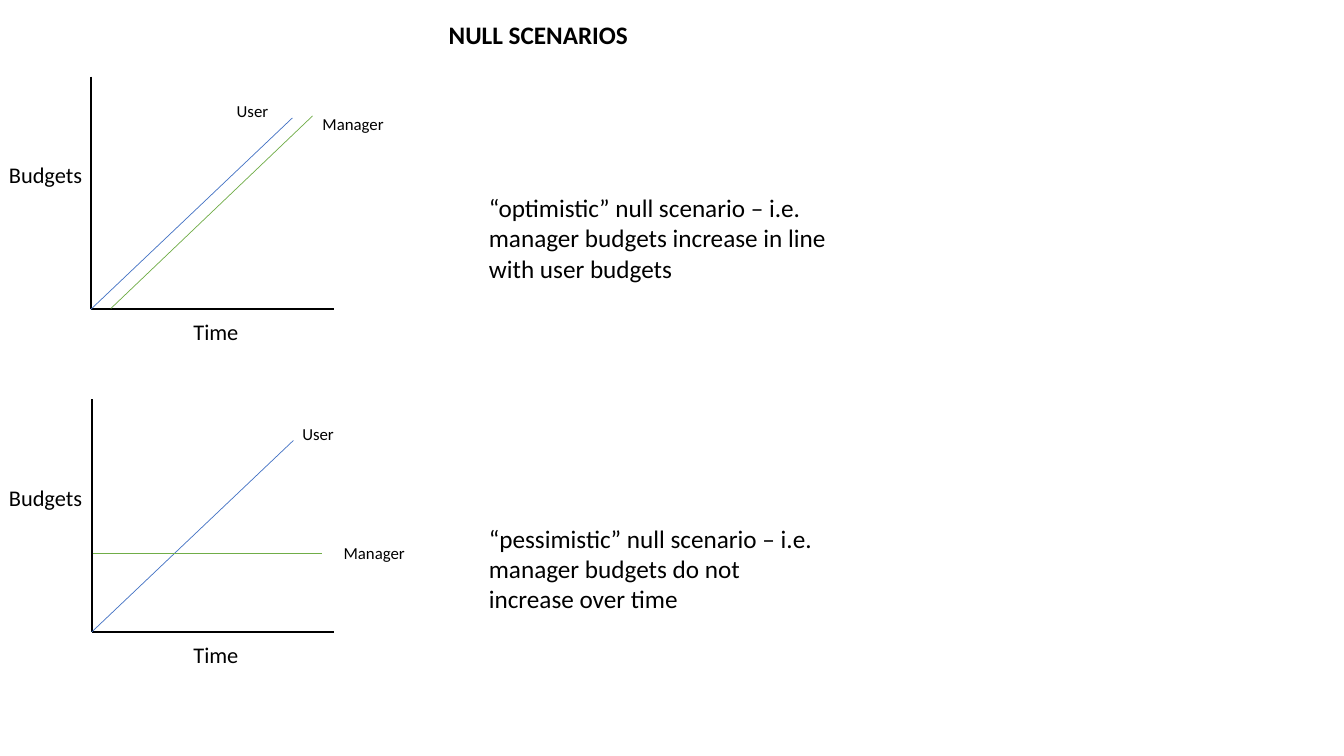
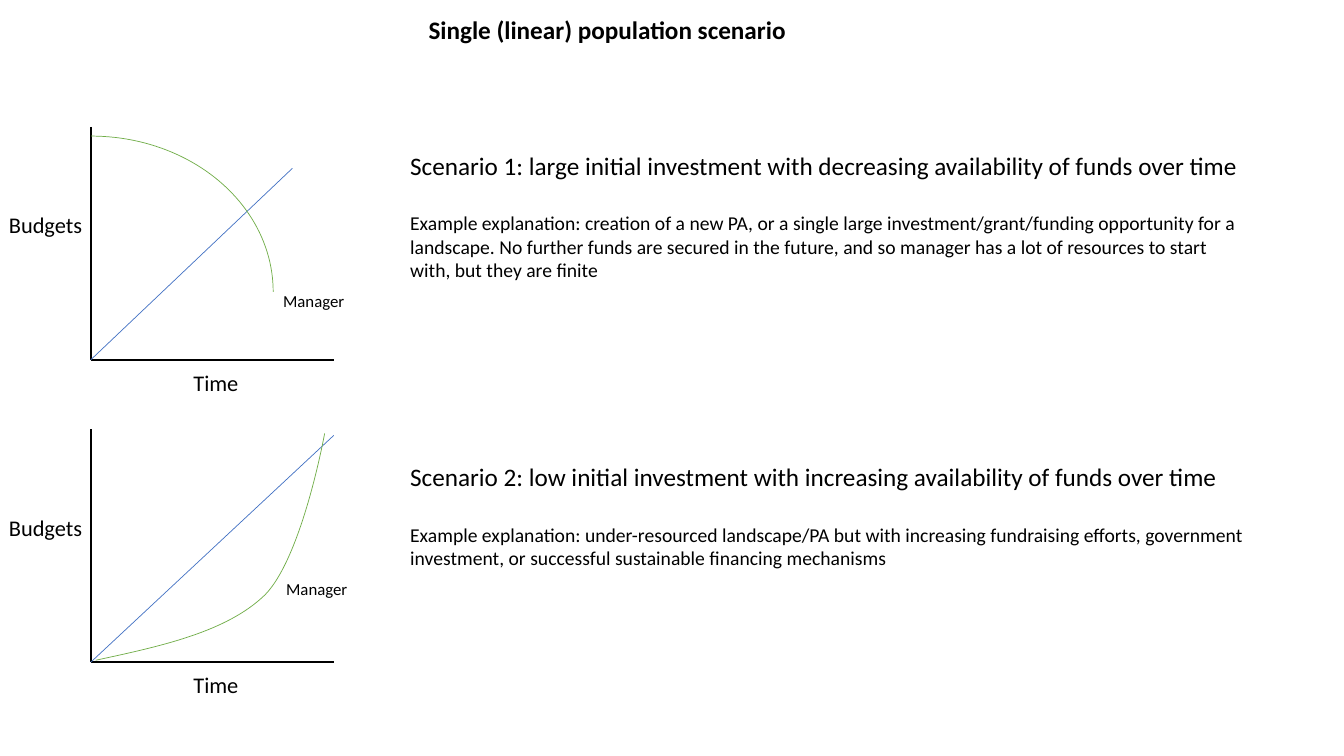
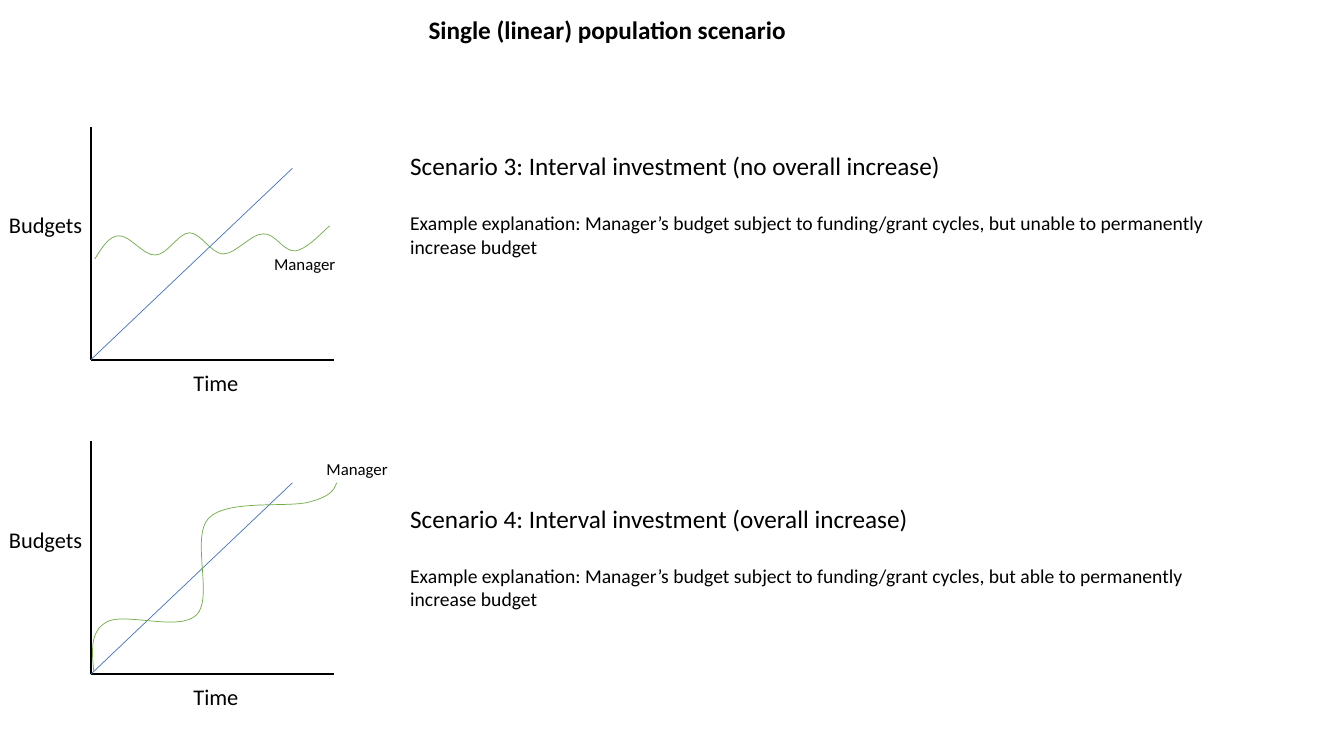
"""Build three slides of budget-over-time scenario graphs."""
import pptx
import pptx.util
import pptx.dml.color
import pptx.enum.shapes
import pptx.enum.text
import pptx.oxml.ns
import lxml.etree

Inches = pptx.util.Inches
qn = pptx.oxml.ns.qn
BLACK = pptx.dml.color.RGBColor(0x00, 0x00, 0x00)
USER_BLUE = pptx.dml.color.RGBColor(0x44, 0x72, 0xC4)
MANAGER_GREEN = pptx.dml.color.RGBColor(0x70, 0xAD, 0x47)

TITLE_FONT = {"name": "Calibri", "size": pptx.util.Pt(18), "bold": True}
HEADING_FONT = {"name": "Calibri", "size": pptx.util.Pt(18), "bold": False}
AXIS_FONT = {"name": "Calibri", "size": pptx.util.Pt(16), "bold": False}
DETAIL_FONT = {"name": "Calibri", "size": pptx.util.Pt(14), "bold": False}
LABEL_FONT = {"name": "Calibri", "size": pptx.util.Pt(12), "bold": False}

ORIGIN_X, AXIS_END_X, AXIS_HEIGHT = 0.9, 3.31, 2.31
USER_RISE = (2, 1.9)
NOTE_BOX = {
    "narrow": (4.75, 3.55, 1.01),
    "wide": (3.97, 8.54, 1.18),
    "tall": (3.97, 8.54, 1.41),
}
PARAGRAPH_GAP = pptx.util.Pt(21.9)

POPULATION_TITLE = ("Single (linear) population scenario", (4.15, 0.09, 3.78, 0.4))

SLIDES = [
    {
        "title": ("NULL SCENARIOS", (4.35, 0.14, 2.55, 0.4)),
        "graphs": [
            {
                "base": 3.07,
                "manager": ("line", (1.1, 3.06, 3.1, 1.15)),
                "labels": [("User", 2.25, 0.95), ("Manager", 3.1, 1.08)],
                "note": ("narrow", 1.86, [
                    "“optimistic” null scenario – i.e. manager budgets increase "
                    "in line with user budgets"]),
            },
            {
                "base": 6.27,
                "origin": 0.91,
                "manager": ("line", (0.92, 5.49, 3.19, 5.49)),
                "labels": [("User", 2.9, 4.15), ("Manager", 3.31, 5.34)],
                "note": ("narrow", 5.14, [
                    "“pessimistic” null scenario – i.e. manager budgets do not "
                    "increase over time"]),
            },
        ],
    },
    {
        "title": POPULATION_TITLE,
        "graphs": [
            {
                "base": 3.57,
                "manager": ("arc", (-0.9, 1.35, 3.61, 3.09)),
                "labels": [("Manager", 2.71, 2.84)],
                "note": ("tall", 1.44, [
                    "Scenario 1: large initial investment with decreasing "
                    "availability of funds over time",
                    "Example explanation: creation of a new PA, or a single large "
                    "investment/grant/funding opportunity for a landscape. No further "
                    "funds are secured in the future, and so manager has a lot of "
                    "resources to start with, but they are finite"]),
            },
            {
                "base": 6.57,
                "rise": (2.41, 2.25),
                "manager": ("curve", [
                    (0.95, 6.55), (1.6, 6.41), (2.25, 6.27), (2.63, 5.9),
                    (3, 5.52), (3.22, 4.3), (3.22, 4.3)]),
                "labels": [("Manager", 2.74, 5.69)],
                "note": ("wide", 4.53, [
                    "Scenario 2: low initial investment with increasing "
                    "availability of funds over time",
                    "Example explanation: under-resourced landscape/PA but with "
                    "increasing fundraising efforts, government investment, or "
                    "successful sustainable financing mechanisms"]),
            },
        ],
    },
    {
        "title": POPULATION_TITLE,
        "graphs": [
            {
                "base": 3.57,
                "manager": ("curve", [
                    (0.94, 2.57), (1.01, 2.46), (1.08, 2.34), (1.18, 2.34),
                    (1.28, 2.33), (1.43, 2.54), (1.54, 2.53),
                    (1.66, 2.53), (1.77, 2.31), (1.88, 2.31),
                    (1.99, 2.31), (2.09, 2.51), (2.21, 2.52),
                    (2.34, 2.52), (2.49, 2.32), (2.61, 2.32),
                    (2.73, 2.31), (2.81, 2.5), (2.93, 2.49),
                    (3.04, 2.47), (3.15, 2.35), (3.27, 2.24)]),
                "labels": [("Manager", 2.62, 2.47)],
                "note": ("wide", 1.44, [
                    "Scenario 3: Interval investment (no overall increase)",
                    "Example explanation: Manager’s budget subject to funding/grant "
                    "cycles, but unable to permanently increase budget"]),
            },
            {
                "base": 6.69,
                "manager": ("curve", [
                    (0.93, 6.66), (0.91, 6.46), (0.89, 6.26), (1.06, 6.17),
                    (1.23, 6.07), (1.78, 6.27), (1.95, 6.1),
                    (2.12, 5.93), (1.89, 5.33), (2.07, 5.14),
                    (2.26, 4.95), (2.86, 5.04), (3.07, 4.98),
                    (3.29, 4.92), (3.31, 4.86), (3.34, 4.79)]),
                "labels": [("Manager", 3.14, 4.5)],
                "note": ("wide", 4.94, [
                    "Scenario 4: Interval investment (overall increase)",
                    "Example explanation: Manager’s budget subject to funding/grant "
                    "cycles, but able to permanently increase budget"]),
            },
        ],
    },
]


def fill_paragraph(paragraph, text, font):
    run = paragraph.add_run()
    run.text = text
    run.font.color.rgb = BLACK
    for name, value in font.items():
        setattr(run.font, name, value)


def add_title(slide, text, box):
    title = slide.shapes.title
    for name, value in zip(("left", "top", "width", "height"), box):
        setattr(title, name, Inches(value))
    frame = title.text_frame
    frame.auto_size = pptx.enum.text.MSO_AUTO_SIZE.SHAPE_TO_FIT_TEXT
    frame.vertical_anchor = pptx.enum.text.MSO_ANCHOR.TOP
    frame.paragraphs[0].alignment = pptx.enum.text.PP_ALIGN.LEFT
    fill_paragraph(frame.paragraphs[0], text, TITLE_FONT)


def add_text(slide, box, texts, fonts):
    frame = slide.shapes.add_textbox(*map(Inches, box)).text_frame
    frame.word_wrap = True
    frame.auto_size = pptx.enum.text.MSO_AUTO_SIZE.SHAPE_TO_FIT_TEXT
    for index, (text, font) in enumerate(zip(texts, fonts)):
        paragraph = frame.add_paragraph() if index else frame.paragraphs[0]
        if index:
            paragraph.space_before = PARAGRAPH_GAP
        fill_paragraph(paragraph, text, font)


def format_line(shape, color, width):
    shape.line.color.rgb = color
    shape.line.width = pptx.util.Pt(width)


def add_line(slide, ends, color, width):
    connector = slide.shapes.add_connector(
        pptx.enum.shapes.MSO_CONNECTOR.STRAIGHT, *map(Inches, ends))
    format_line(connector, color, width)
    lxml.etree.SubElement(connector._element.spPr, qn("a:effectLst"))


def add_curve(slide, controls):
    points = [(Inches(x), Inches(y)) for x, y in controls]
    builder = slide.shapes.build_freeform(*points[0])
    builder.add_line_segments(points[3::3], close=False)
    shape = builder.convert_to_shape()
    segments = list(shape._element.iter(qn("a:lnTo")))
    for index, segment in enumerate(segments):
        bezier = lxml.etree.Element(qn("a:cubicBezTo"))
        for x, y in points[3 * index + 1:3 * index + 4]:
            lxml.etree.SubElement(
                bezier, qn("a:pt"), x=str(x - shape.left), y=str(y - shape.top))
        segment.getparent().replace(segment, bezier)
    return shape


def add_manager(slide, kind, geometry):
    if kind == "line":
        add_line(slide, geometry, MANAGER_GREEN, 0.5)
        return
    if kind == "arc":
        shape = slide.shapes.add_shape(
            pptx.enum.shapes.MSO_SHAPE.ARC, *map(Inches, geometry))
    else:
        shape = add_curve(slide, geometry)
    shape.shadow.inherit = False
    shape.fill.background()
    format_line(shape, MANAGER_GREEN, 0.5)


def add_graph(slide, graph):
    base = graph["base"]
    origin = graph.get("origin", ORIGIN_X)
    run, rise = graph.get("rise", USER_RISE)
    add_line(slide, (origin, base - AXIS_HEIGHT, origin, base), BLACK, 1.5)
    add_line(slide, (AXIS_END_X, base, origin, base), BLACK, 1.5)
    add_line(slide, (origin, base, origin + run, base - rise), USER_BLUE, 0.5)
    add_text(slide, (1.82, base + 0.04, 0.8, 0.37), ["Time"], [AXIS_FONT])
    add_text(slide, (-0.01, base - 1.52, 1.17, 0.37), ["Budgets"], [AXIS_FONT])
    add_manager(slide, *graph["manager"])
    for label, left, top in graph["labels"]:
        add_text(slide, (left, top, 1.04, 0.3), [label], [LABEL_FONT])
    size, top, texts = graph["note"]
    left, width, height = NOTE_BOX[size]
    add_text(slide, (left, top, width, height), texts, [HEADING_FONT, DETAIL_FONT])


presentation = pptx.Presentation()
presentation.slide_width = Inches(13.33)
presentation.slide_height = Inches(7.5)
for content in SLIDES:
    slide = presentation.slides.add_slide(presentation.slide_layouts[5])
    add_title(slide, *content["title"])
    for graph in content["graphs"]:
        add_graph(slide, graph)
presentation.save("out.pptx")
